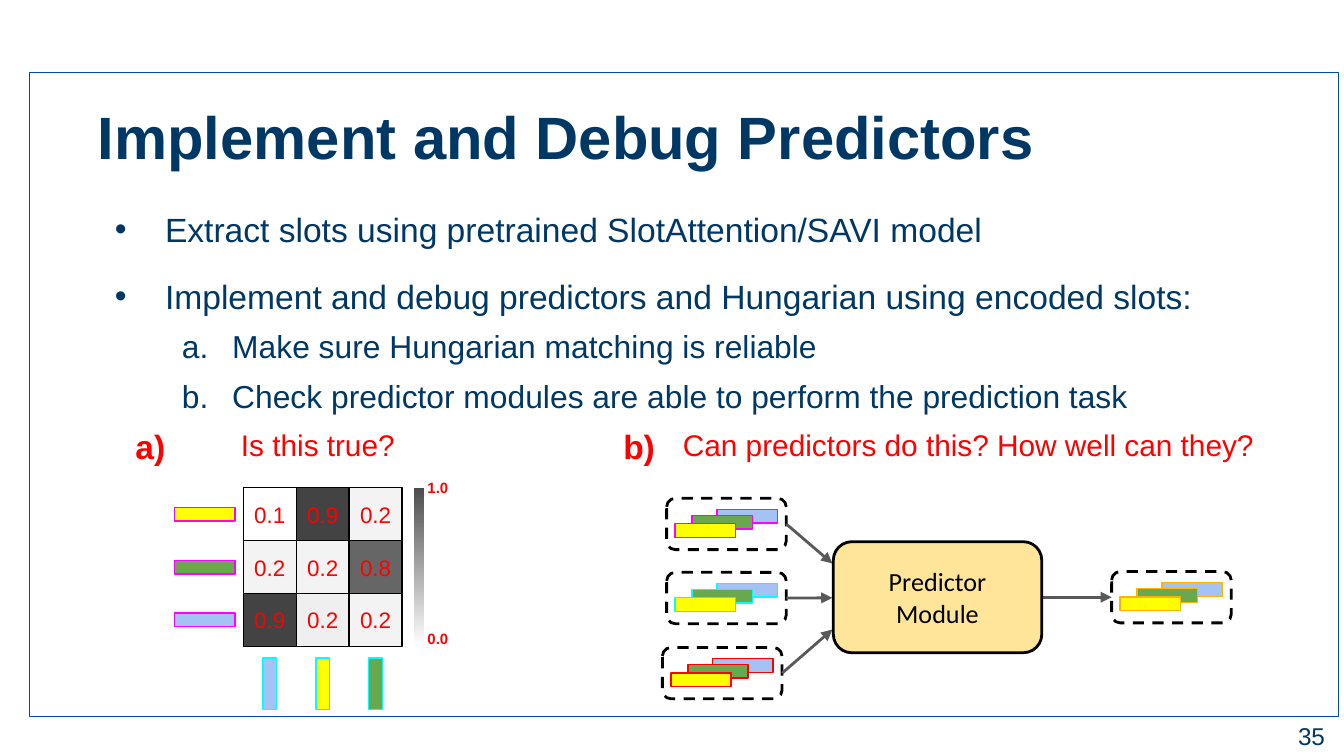
from lxml.etree import SubElement
from pptx import Presentation
from pptx.dml.color import RGBColor
from pptx.enum.dml import MSO_LINE
from pptx.enum.shapes import MSO_CONNECTOR, MSO_SHAPE
from pptx.enum.text import MSO_ANCHOR, PP_ALIGN
from pptx.oxml.ns import qn
from pptx.util import Cm, Pt

NAVY, RED, BLACK, GREY = "003865", "FF0000", "000000", "595959"
YELLOW, GREEN, BLUE = "FFFF00", "6AA84F", "A4C2F4"
MAGENTA, CYAN, ORANGE = "FF00FF", "00FFFF", "FFB300"
SLOT_LENGTH, SLOT_THICKNESS = 1.14, 0.26
STACK_WIDTH, STACK_HEIGHT = 2.26, 0.97


def colour(hex_code):
    """Turn a hex string into a colour."""
    return RGBColor.from_string(hex_code)


def write(paragraph, words, size, ink, bold=False, font="Arial"):
    """Add one formatted run to a paragraph."""
    run = paragraph.add_run()
    run.text = words
    run.font.name, run.font.size, run.font.bold = font, Pt(size), bold
    run.font.color.rgb = colour(ink)


def set_frame(frame, across, down, anchor=MSO_ANCHOR.TOP):
    """Set wrapping, insets and anchor of a text frame."""
    frame.word_wrap = True
    frame.margin_left = frame.margin_right = Cm(across)
    frame.margin_top = frame.margin_bottom = Cm(down)
    frame.vertical_anchor = anchor


def add_label(slide, box, words, size, ink, align=PP_ALIGN.LEFT, bold=False, insets=(0.25, 0.25)):
    """Place a one-paragraph text box."""
    frame = slide.shapes.add_textbox(*map(Cm, box)).text_frame
    set_frame(frame, *insets)
    frame.paragraphs[0].alignment = align
    write(frame.paragraphs[0], words, size, ink, bold)


def add_block(slide, box, fill=None, line=None, width=0.75, kind=MSO_SHAPE.RECTANGLE):
    """Place a flat preset shape."""
    block = slide.shapes.add_shape(kind, *map(Cm, box))
    block.shadow.inherit = False
    if fill:
        block.fill.solid()
        block.fill.fore_color.rgb = colour(fill)
    else:
        block.fill.background()
    if line:
        block.line.color.rgb = colour(line)
        block.line.width = Pt(width)
    else:
        block.line.fill.background()
    return block


def add_arrow(slide, start, end):
    """Draw a grey arrow between two points."""
    arrow = slide.shapes.add_connector(MSO_CONNECTOR.STRAIGHT, *map(Cm, start + end))
    arrow.line.color.rgb = colour(GREY)
    arrow.line.width = Pt(1.5)
    SubElement(arrow.line._get_or_add_ln(), qn("a:tailEnd"), type="triangle")
    SubElement(arrow._element.spPr, qn("a:effectLst"))


def add_title(slide, box, words):
    """Move and format the title placeholder."""
    title = slide.shapes.title
    title.left, title.top, title.width, title.height = map(Cm, box)
    set_frame(title.text_frame, 0.25, 0.13)
    title.text_frame.paragraphs[0].alignment = PP_ALIGN.LEFT
    write(title.text_frame.paragraphs[0], words, 32, NAVY, True)


def add_outline(slide, box, items):
    """Place the bulleted steps and their lettered sub-steps."""
    frame = slide.shapes.add_textbox(*map(Cm, box)).text_frame
    set_frame(frame, 0.25, 0.13)
    for index, (level, words) in enumerate(items):
        step = frame.paragraphs[0] if index == 0 else frame.add_paragraph()
        step.level = level
        step.line_spacing = (1.15, 1.25)[level]
        if index:
            step.space_before = Pt((11, 1)[level])
        properties = step._p.get_or_add_pPr()
        properties.set("marL", str(Cm(1.27 * (level + 1))))
        properties.set("indent", str(Cm(-0.95)))
        bullet_ink = SubElement(properties, qn("a:buClr"))
        SubElement(bullet_ink, qn("a:srgbClr"), val=NAVY)
        SubElement(properties, qn("a:buFont"), typeface="Arial")
        if level:
            SubElement(properties, qn("a:buAutoNum"), type="alphaLcPeriod")
        else:
            SubElement(properties, qn("a:buChar"), char="•")
        write(step, words, (18, 17)[level], NAVY)


def add_matrix(slide, box, rows):
    """Draw the matching matrix with its row and column slots."""
    left, top, width, height = box
    cell = width / len(rows)
    for r, row in enumerate(rows):
        for c, (score, shade) in enumerate(row):
            spot = (left + c * cell, top + r * cell, cell, cell)
            frame = add_block(slide, spot, shade, BLACK).text_frame
            set_frame(frame, 0.05, 0.05, MSO_ANCHOR.MIDDLE)
            frame.paragraphs[0].alignment = PP_ALIGN.CENTER
            write(frame.paragraphs[0], score, 12, RED)
    for i, fill in enumerate((YELLOW, GREEN, BLUE)):
        slot_top = top + (i + 0.5) * cell - SLOT_THICKNESS / 2
        add_block(slide, (left - 1.3, slot_top, SLOT_LENGTH, SLOT_THICKNESS), fill, MAGENTA)
    for i, fill in enumerate((BLUE, YELLOW, GREEN)):
        slot_left = left + (i + 0.5) * cell - SLOT_THICKNESS / 2
        add_block(slide, (slot_left, top + height + 0.22, SLOT_THICKNESS, 0.97), fill, CYAN)


def add_scale(slide, box):
    """Draw the shading scale with its end values."""
    left, top, width, height = box
    scale = add_block(slide, box, "4D4D4D")
    scale.fill.gradient()
    scale.fill.gradient_angle = 270
    for stop, shade in zip(scale.fill.gradient_stops, ("4D4D4D", "FFFFFF")):
        stop.color.rgb = colour(shade)
    for value, label_top in (("1.0", top - 0.23), ("0.0", top + height - 0.36)):
        label_box = (left + width + 0.06, label_top, 0.74, 0.43)
        add_label(slide, label_box, value, 8, RED, bold=True, insets=(0, 0.05))


def add_stack(slide, box, edge):
    """Draw a dashed holder with three overlapping slots."""
    left, top = box[:2]
    holder = add_block(slide, box, None, BLACK, 1.5, MSO_SHAPE.ROUNDED_RECTANGLE)
    holder.line.dash_style = MSO_LINE.DASH
    for fill, dx, dy in ((BLUE, 0.95, 0.21), (GREEN, 0.48, 0.32), (YELLOW, 0.16, 0.48)):
        add_block(slide, (left + dx, top + dy, SLOT_LENGTH, SLOT_THICKNESS), fill, edge)


def add_predictor(slide, box):
    """Draw the predictor module with its input and output slots."""
    left, top, width, height = box
    module_left, module_top, module_width, module_height = left + 3.15, top + 0.82, 3.94, 2.1
    inputs = ((0, 0, MAGENTA, 10.65), (0, 1.4, CYAN, 11.3), (-0.08, 2.82, RED, 11.9))
    for dx, dy, edge, tip in inputs:
        stack = (left + dx, top + dy, STACK_WIDTH, STACK_HEIGHT)
        add_stack(slide, stack, edge)
        start = (stack[0] + STACK_WIDTH, stack[1] + STACK_HEIGHT / 2)
        add_arrow(slide, start, (module_left - 0.02, tip))
    output_left, middle = left + width - STACK_WIDTH, module_top + module_height / 2
    add_stack(slide, (output_left, middle - STACK_HEIGHT / 2, STACK_WIDTH, STACK_HEIGHT), ORANGE)
    add_arrow(slide, (module_left + module_width, middle), (output_left, middle))
    module_box = (module_left, module_top, module_width, module_height)
    module = add_block(slide, module_box, "FFE599", BLACK, 1.5, MSO_SHAPE.ROUNDED_RECTANGLE)
    set_frame(module.text_frame, 0.3, 0.25, MSO_ANCHOR.MIDDLE)
    module.text_frame.paragraphs[0].alignment = PP_ALIGN.CENTER
    write(module.text_frame.paragraphs[0], "Predictor Module", 14, BLACK, font="Calibri")


def main():
    """Build and save the slide."""
    deck = Presentation()
    deck.slide_width, deck.slide_height = Cm(25.4), Cm(14.29)
    slide = deck.slides.add_slide(deck.slide_layouts[5])
    add_block(slide, (0.56, 1.37, 24.74, 12.17), None, "004F9F")
    add_title(slide, (1.6, 1.76, 23.11, 1.7), "Implement and Debug Predictors")
    add_outline(slide, (1.6, 3.7, 22.45, 4.17), (
        (0, "Extract slots using pretrained SlotAttention/SAVI model"),
        (0, "Implement and debug predictors and Hungarian using encoded slots:"),
        (1, "Make sure Hungarian matching is reliable"),
        (1, "Check predictor modules are able to perform the prediction task"),
    ))
    add_matrix(slide, (4.6, 9.22, 3, 3), (
        (("0.1", "FFFFFF"), ("0.9", "434343"), ("0.2", "F3F3F3")),
        (("0.2", "F3F3F3"), ("0.2", "F3F3F3"), ("0.8", "666666")),
        (("0.9", "434343"), ("0.2", "EFEFEF"), ("0.2", "F3F3F3")),
    ))
    add_scale(slide, (7.82, 9.22, 0.2, 3))
    add_predictor(slide, (12.6, 9.42, 10.67, 3.79))
    for mark, mark_left, question, left, width in (
        ("a)", 2.31, "Is this true?", 3.33, 5.36),
        ("b)", 11.53, "Can predictors do this? How well can they?", 12.55, 11.51),
    ):
        add_label(slide, (mark_left, 7.8, 1.5, 1.27), mark, 18, RED, bold=True)
        add_label(slide, (left, 7.82, width, 1.19), question, 16, RED, PP_ALIGN.CENTER)
    add_label(slide, (23.77, 13.39, 1.52, 1.09), "35", 13, NAVY, PP_ALIGN.RIGHT)
    deck.save("out.pptx")


if __name__ == "__main__":
    main()
